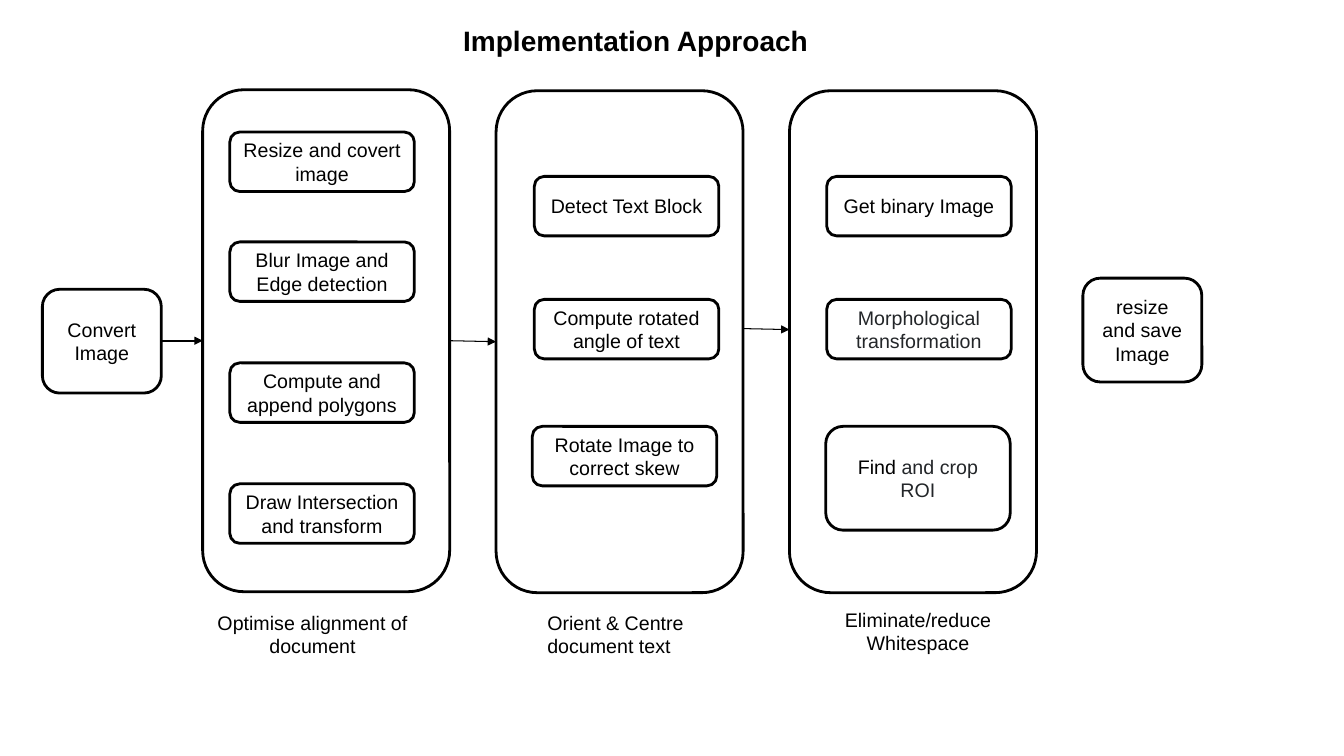
import pptx
import pptx.util
import pptx.dml.color
import pptx.enum.shapes
import pptx.enum.text
import pptx.oxml.ns
from lxml import etree

Inches, Pt = pptx.util.Inches, pptx.util.Pt
ALIGN = pptx.enum.text.PP_ALIGN
ANCHOR = pptx.enum.text.MSO_ANCHOR
BLACK = pptx.dml.color.RGBColor(0x00, 0x00, 0x00)
CHARCOAL = pptx.dml.color.RGBColor(0x23, 0x26, 0x29)
FONT = "Arial"

STAGE_SIZE = (2.45, 4.98)
STEP_WIDTH, STEP_HEIGHT = 1.83, 0.59
END_SIZE = (1.18, 1.03)

# Runs are (text, colour); steps are (left, top, height, runs)
TITLE = ((2.16, 0.18, 8.29, 0.44), "Implementation Approach")
ENDS = [
    (0.42, 2.87, "Convert Image"),
    (10.74, 2.76, "resize and save Image"),
]
STAGES = [
    {
        "at": (2.01, 0.89),
        "caption": ((2.01, 6.01, 2.18, 0.57), "Optimise alignment of document", ALIGN.CENTER),
        "steps": [
            (2.28, 1.31, STEP_HEIGHT, [("Resize and covert image", BLACK)]),
            (2.28, 2.40, STEP_HEIGHT, [("Blur Image and Edge detection", BLACK)]),
            (2.28, 3.60, STEP_HEIGHT, [("Compute and append polygons", BLACK)]),
            (2.28, 4.80, STEP_HEIGHT, [("Draw Intersection and transform", BLACK)]),
        ],
    },
    {
        "at": (4.92, 0.90),
        "caption": ((5.33, 6.01, 1.63, 0.57), "Orient & Centre document text", ALIGN.LEFT),
        "steps": [
            (5.30, 1.75, STEP_HEIGHT, [("Detect Text Block", BLACK)]),
            (5.30, 2.97, STEP_HEIGHT, [("Compute rotated angle of text", BLACK)]),
            (5.28, 4.23, STEP_HEIGHT, [("Rotate Image to correct skew", BLACK)]),
        ],
    },
    {
        "at": (7.83, 0.90),
        "caption": ((8.17, 5.98, 1.87, 0.57), "Eliminate/reduce Whitespace", ALIGN.CENTER),
        "steps": [
            (8.20, 1.75, STEP_HEIGHT, [("Get binary Image", BLACK)]),
            (8.20, 2.97, STEP_HEIGHT, [("Morphological transformation", CHARCOAL)]),
            (8.19, 4.23, 1.03, [("Find ", BLACK), ("and crop ROI", CHARCOAL)]),
        ],
    },
]
# Start point, end point, line width
ARROWS = [
    ((1.61, 3.38), (2.01, 3.38), 1.25),
    ((4.46, 3.38), (4.92, 3.39), 0.75),
    ((7.37, 3.26), (7.83, 3.27), 0.75),
]


def write(shape, runs, align=ALIGN.CENTER, size=14, bold=False):
    shape.text_frame.word_wrap = True
    paragraph = shape.text_frame.paragraphs[0]
    paragraph.alignment = align
    for text, color in runs:
        run = paragraph.add_run()
        run.text = text
        run.font.name = FONT
        run.font.size = Pt(size)
        run.font.bold = bold
        run.font.color.rgb = color


def add_box(slide, left, top, width, height, runs=()):
    """Add an outlined rounded rectangle with centred text."""
    box = slide.shapes.add_shape(
        pptx.enum.shapes.MSO_SHAPE.ROUNDED_RECTANGLE,
        Inches(left), Inches(top), Inches(width), Inches(height))
    box.shadow.inherit = False
    box.fill.background()
    box.line.color.rgb = BLACK
    box.line.width = Pt(2)
    box.text_frame.vertical_anchor = ANCHOR.MIDDLE
    write(box, runs)


def add_label(slide, at, text, align=ALIGN.CENTER, size=14, bold=False):
    label = slide.shapes.add_textbox(*map(Inches, at))
    write(label, [(text, BLACK)], align, size, bold)


def add_arrow(slide, start, end, width):
    arrow = slide.shapes.add_connector(
        pptx.enum.shapes.MSO_CONNECTOR.STRAIGHT, *map(Inches, start + end))
    arrow.line.color.rgb = BLACK
    arrow.line.width = Pt(width)
    qn = pptx.oxml.ns.qn
    etree.SubElement(arrow.line._get_or_add_ln(), qn("a:tailEnd"), type="triangle")
    etree.SubElement(arrow._element.spPr, qn("a:effectLst"))


def main():
    presentation = pptx.Presentation()
    presentation.slide_width = Inches(13.33)
    presentation.slide_height = Inches(7.5)
    slide = presentation.slides.add_slide(presentation.slide_layouts[6])

    add_label(slide, *TITLE, size=20, bold=True)
    for left, top, text in ENDS:
        add_box(slide, left, top, *END_SIZE, [(text, BLACK)])
    for stage in STAGES:
        add_box(slide, *stage["at"], *STAGE_SIZE)
        for left, top, height, runs in stage["steps"]:
            add_box(slide, left, top, STEP_WIDTH, height, runs)
        add_label(slide, *stage["caption"])
    for start, end, width in ARROWS:
        add_arrow(slide, start, end, width)

    presentation.save("out.pptx")


if __name__ == "__main__":
    main()
